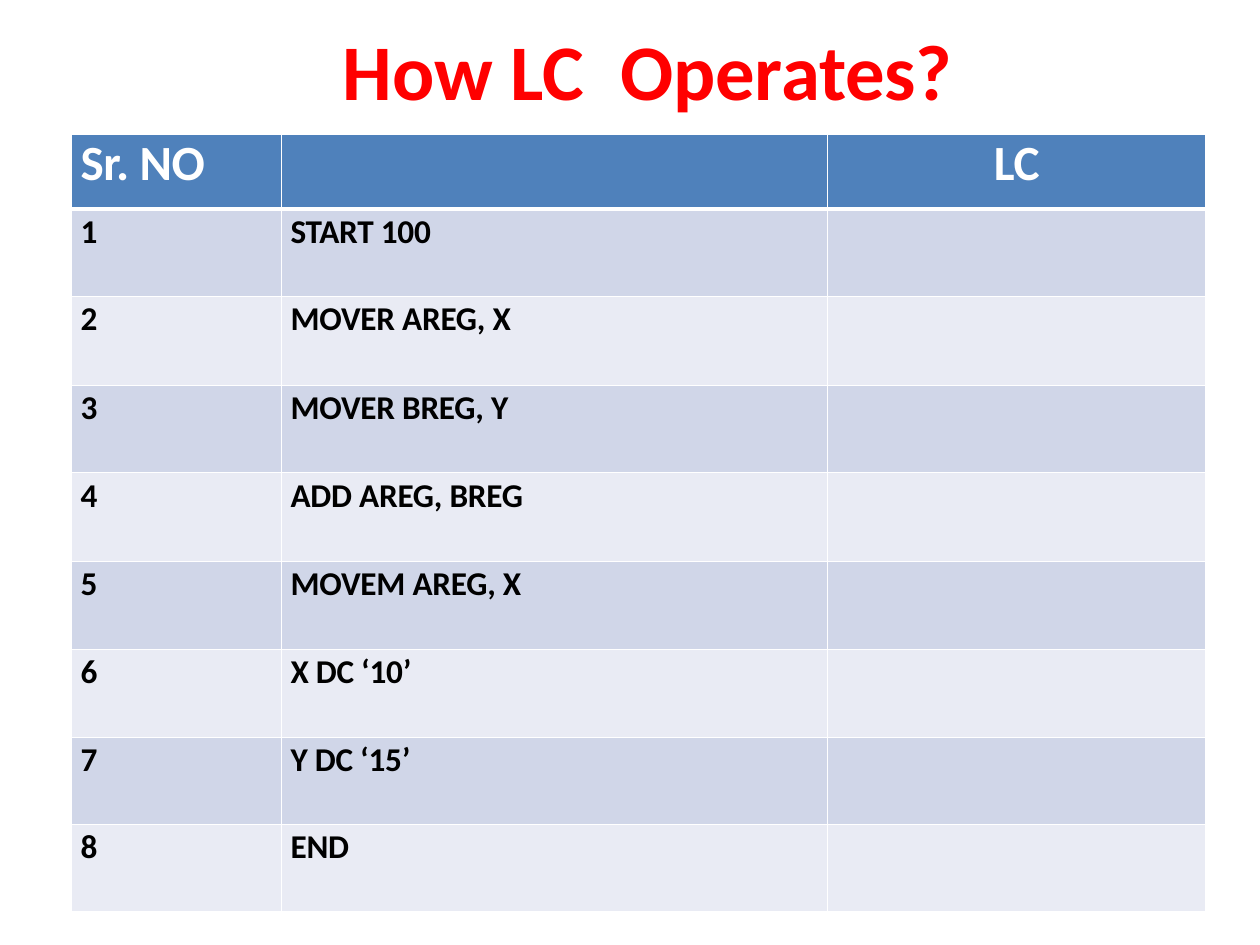
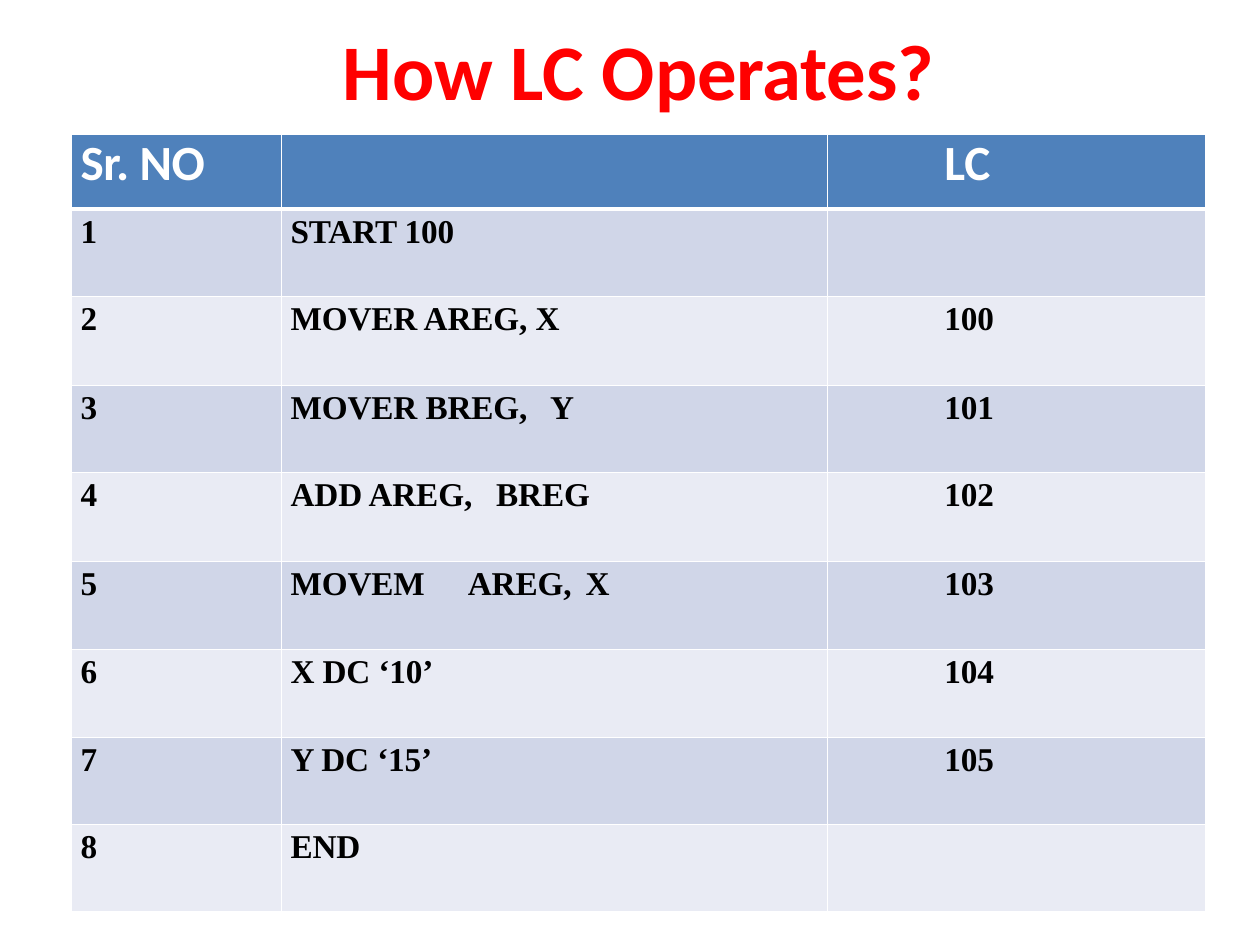
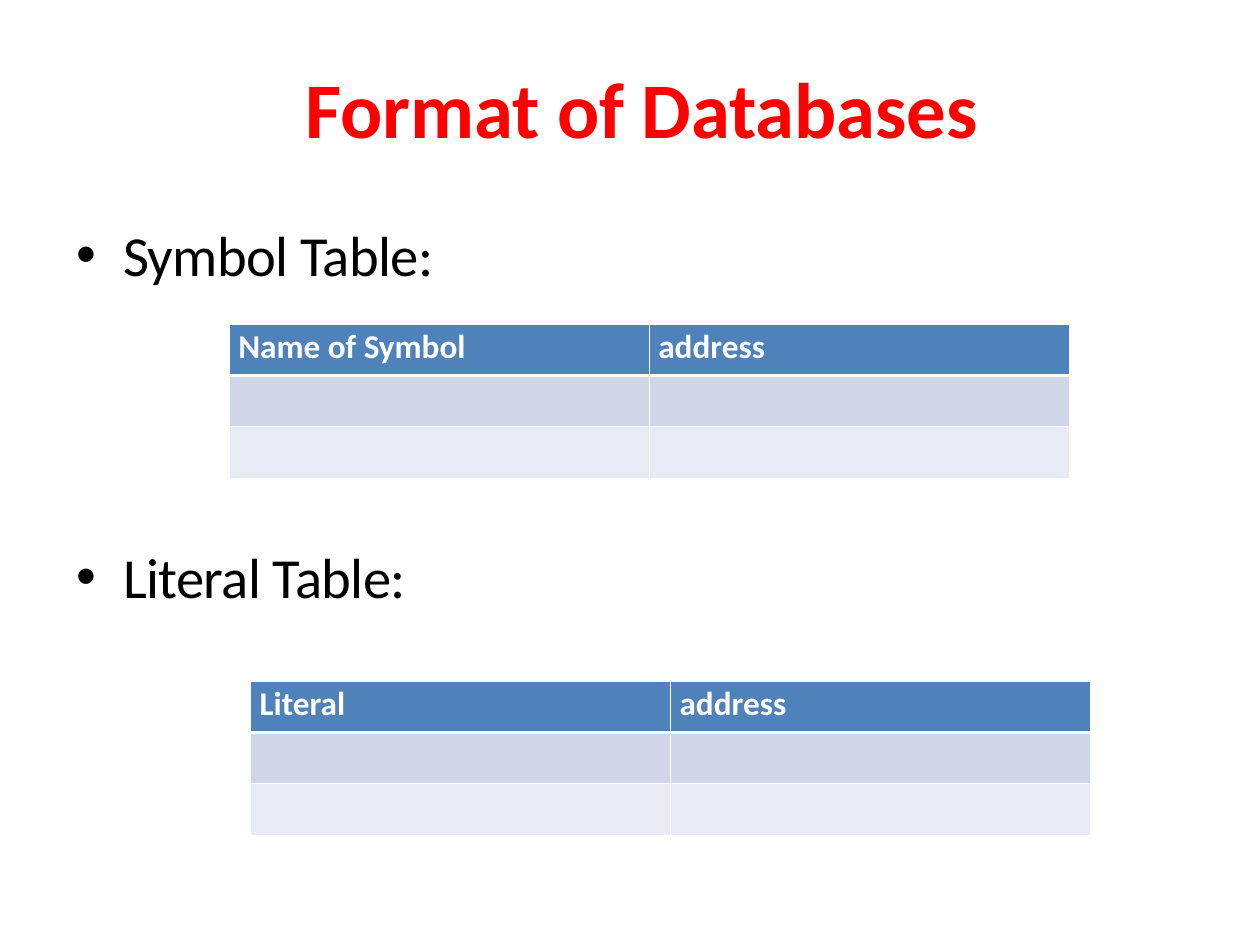
from lxml import etree
from pptx import Presentation
from pptx.dml.color import RGBColor
from pptx.enum.text import MSO_ANCHOR, MSO_AUTO_SIZE, PP_ALIGN
from pptx.oxml.ns import qn
from pptx.util import Pt

TOP = MSO_ANCHOR.TOP
NO_FIT = MSO_AUTO_SIZE.NONE
LEFT, CENTER = PP_ALIGN.LEFT, PP_ALIGN.CENTER

PX = 9144
TITLE_ONLY = 5
COLORS = {"title": "FF0000", "text": "000000", "header": "4F81BB",
          "odd": "D0D6E8", "even": "E9EBF4", "white": "FFFFFF"}
TITLE_STYLE = {"size": 64, "color": "title", "bold": True, "spacing": -0.1}
BULLET_STYLE = {"size": 46, "spacing": -0.5}
BIG_HEADER = {"size": 40, "color": "white", "bold": True, "spacing": -0.3}
SMALL_HEADER = {"size": 27, "color": "white", "bold": True}
CODE_STYLE = {"size": 27, "bold": True, "spacing": -0.2}
SERIF_STYLE = {**CODE_STYLE, "name": "Times New Roman", "spacing": -0.1}

LISTING_BOX = (81, 152)
LISTING_COLUMNS = [237, 616, 427]
LISTING_ROWS = [84, 99, 100, 99, 100, 99, 100, 98, 98]
CELL_INDENT = 10
LC_INDENT = 132

LISTINGS = [
    {"title": "How LC\tOperates?", "title_tabs": [313], "style": CODE_STYLE,
     "inset": 3, "lc_indent": 0, "lc_align": CENTER, "tabs": {},
     "rows": [("Sr. NO", "", "LC"),
              ("1", "START 100", ""),
              ("2", "MOVER AREG, X", ""),
              ("3", "MOVER BREG, Y", ""),
              ("4", "ADD AREG, BREG", ""),
              ("5", "MOVEM AREG, X", ""),
              ("6", "X DC ‘10’", ""),
              ("7", "Y DC ‘15’", ""),
              ("8", "END", "")]},
    {"title": "How LC Operates?", "title_tabs": [], "style": SERIF_STYLE,
     "inset": 5, "lc_indent": LC_INDENT, "lc_align": LEFT,
     "tabs": {3: [293], 4: [232], 5: [200, 333]},
     "rows": [("Sr. NO", "", "LC"),
              ("1", "START 100", ""),
              ("2", "MOVER AREG, X", "100"),
              ("3", "MOVER BREG,\tY", "101"),
              ("4", "ADD AREG,\tBREG", "102"),
              ("5", "MOVEM\tAREG,\tX", "103"),
              ("6", "X DC ‘10’", "104"),
              ("7", "Y DC ‘15’", "105"),
              ("8", "END", "")]},
]

FORMATS = [
    {"label": "Symbol Table:", "label_top": 247, "at": (259, 366),
     "rows": [("Name of Symbol", "address"), ("", ""), ("", "")]},
    {"label": "Literal Table:", "label_top": 611, "at": (283, 769),
     "rows": [("Literal", "address"), ("", ""), ("", "")]},
]
FORMAT_COLUMNS = [474, 474]
FORMAT_ROWS = [58, 58, 58]


def set_margins(target, left, top):
    target.margin_left, target.margin_top = left * PX, top * PX
    target.margin_right = target.margin_bottom = 0


def add_tabs(para, positions):
    if positions:
        tab_list = etree.SubElement(para._p.get_or_add_pPr(), qn("a:tabLst"))
        for position in positions:
            etree.SubElement(tab_list, qn("a:tab"), pos=str(position * PX), algn="l")


def write(para, text, size, color="text", bold=False, name="Calibri", spacing=0, tabs=()):
    para.text = text
    add_tabs(para, tabs)
    for span in para.runs:
        span.font.size = Pt(size)
        span.font.bold = bold
        span.font.name = name
        span.font.color.rgb = RGBColor.from_string(COLORS[color])
        span._r.get_or_add_rPr().set("spc", str(round(spacing * 100)))


def add_page(deck, title, left, top, width, height, indent=0, inset=1, tabs=()):
    page = deck.slides.add_slide(deck.slide_layouts[TITLE_ONLY])
    box = page.shapes.title
    box.left, box.top, box.width, box.height = (v * PX for v in (left, top, width, height))
    frame = box.text_frame
    frame.word_wrap = True
    frame.auto_size = NO_FIT
    frame.vertical_anchor = TOP
    set_margins(frame, indent, inset)
    para = frame.paragraphs[0]
    para.alignment = LEFT
    write(para, title, tabs=tabs, **TITLE_STYLE)
    return page


def add_bullet(page, text, top):
    box = page.shapes.add_textbox(84 * PX, top * PX, 409 * PX, 79 * PX)
    frame = box.text_frame
    frame.word_wrap = True
    set_margins(frame, 0, 1)
    para = frame.paragraphs[0]
    props = para._p.get_or_add_pPr()
    props.set("marL", str(55 * PX))
    props.set("indent", str(-53 * PX))
    etree.SubElement(props, qn("a:buFont"), typeface="Arial")
    etree.SubElement(props, qn("a:buChar"), char="•")
    write(para, text, **BULLET_STYLE)


def set_borders(cell, top, bottom):
    props = cell._tc.get_or_add_tcPr()
    widths = {"a:lnL": 1, "a:lnR": 1, "a:lnT": top, "a:lnB": bottom}
    for index, (tag, width) in enumerate(widths.items()):
        line = etree.Element(qn(tag), w=str(Pt(width)))
        fill = etree.SubElement(line, qn("a:solidFill"))
        etree.SubElement(fill, qn("a:srgbClr"), val=COLORS["white"])
        props.insert(index, line)


def add_grid(page, at, columns, heights):
    left, top = at
    table = page.shapes.add_table(
        len(heights), len(columns), left * PX, top * PX,
        sum(columns) * PX, sum(heights) * PX).table
    for column, width in zip(table.columns, columns):
        column.width = width * PX
    for r, (row, height) in enumerate(zip(table.rows, heights)):
        row.height = height * PX
        fill = "header" if r == 0 else "odd" if r % 2 else "even"
        for cell in row.cells:
            cell.fill.solid()
            cell.fill.fore_color.rgb = RGBColor.from_string(COLORS[fill])
            set_borders(cell, 3 if r == 1 else 1, 3 if r == 0 else 1)
            set_margins(cell, CELL_INDENT, 3)
    return table


def add_listing(deck, listing):
    page = add_page(deck, listing["title"], 387, 24, 691, 109, tabs=listing["title_tabs"])
    table = add_grid(page, LISTING_BOX, LISTING_COLUMNS, LISTING_ROWS)
    for r, row in enumerate(listing["rows"]):
        style = listing["style"] if r else BIG_HEADER
        for c, text in enumerate(row):
            cell = table.cell(r, c)
            para = cell.text_frame.paragraphs[0]
            set_margins(cell, listing["lc_indent"] if c == 2 else CELL_INDENT,
                        listing["inset"] if r else 0)
            if c == 2:
                para.alignment = listing["lc_align"]
            if r == 0:
                para.line_spacing = Pt(48)
            write(para, text, tabs=listing["tabs"].get(r, ()) if c == 1 else (), **style)


def add_formats(deck):
    page = add_page(deck, "Format of Databases", 120, 18, 1181, 193, indent=225, inset=50)
    for item in FORMATS:
        add_bullet(page, item["label"], item["label_top"])
        table = add_grid(page, item["at"], FORMAT_COLUMNS, FORMAT_ROWS)
        for r, row in enumerate(item["rows"]):
            for c, text in enumerate(row):
                write(table.cell(r, c).text_frame.paragraphs[0], text, **SMALL_HEADER)


def main():
    deck = Presentation()
    deck.slide_width, deck.slide_height = 1422 * PX, 1067 * PX
    for listing in LISTINGS:
        add_listing(deck, listing)
    add_formats(deck)
    deck.save("out.pptx")


if __name__ == "__main__":
    main()
